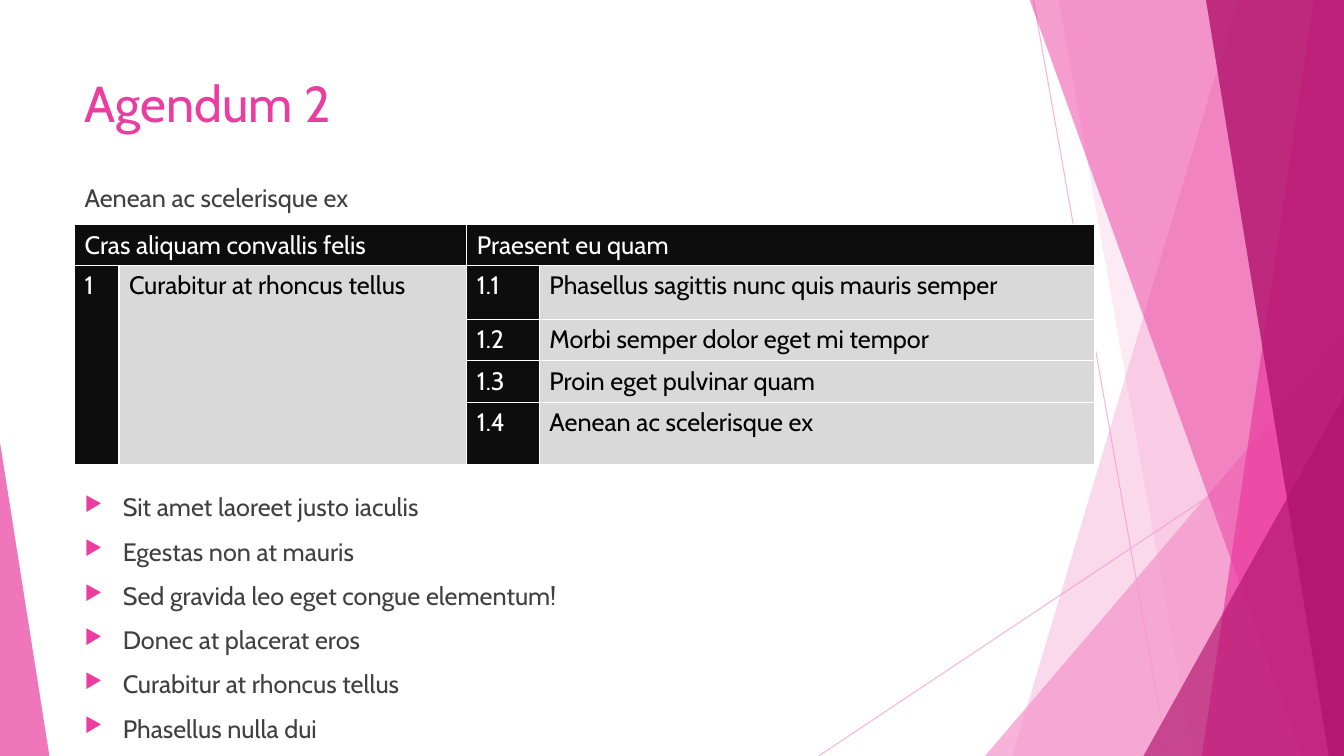
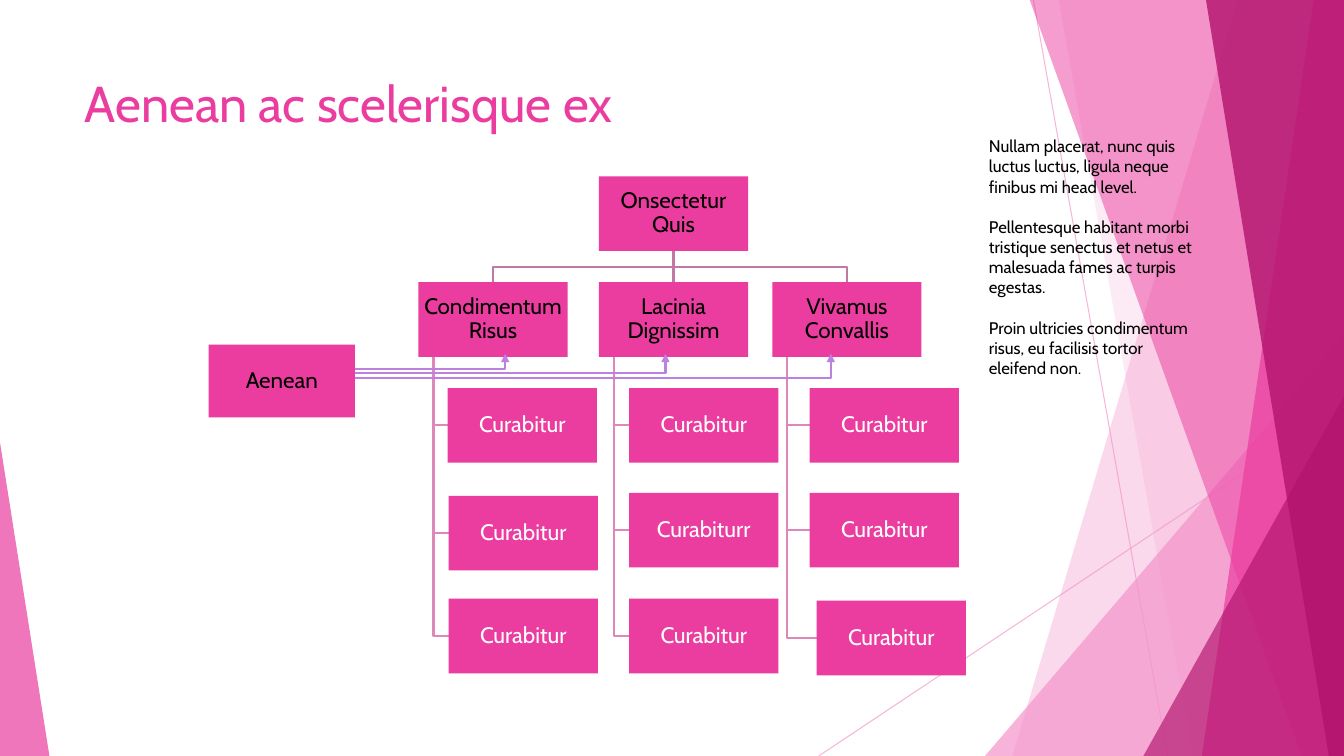
from lxml.etree import SubElement
from pptx import Presentation
from pptx.dml.color import RGBColor
from pptx.enum.shapes import MSO_CONNECTOR, MSO_SHAPE
from pptx.enum.text import MSO_ANCHOR, PP_ALIGN
from pptx.oxml.ns import qn
from pptx.util import Inches, Pt

FONT = "Cabin"
PINK = RGBColor(0xEB, 0x3D, 0x9F)
ROSE = RGBColor(0xF4, 0x96, 0xCB)
WINE = RGBColor(0xB2, 0x13, 0x6D)
BRANCH = RGBColor(0xC3, 0x78, 0xA3)
TWIG = RGBColor(0xDD, 0x88, 0xB8)
LILAC = RGBColor(0xBC, 0x80, 0xE0)
GREY = RGBColor(0x40, 0x40, 0x40)
PALE = RGBColor(0xD9, 0xD9, 0xD9)
COAL = RGBColor(0x0D, 0x0D, 0x0D)
BLACK = RGBColor(0, 0, 0)
WHITE = RGBColor(0xFF, 0xFF, 0xFF)

WIDE, HIGH = 13.33, 7.5
LEFT = 0.74
BOX_W, BOX_H = 1.48, 0.74

BULLETS = [
    "Sit amet laoreet justo iaculis",
    "Egestas non at mauris",
    "Sed gravida leo eget congue elementum!",
    "Donec at placerat eros",
    "Curabitur at rhoncus tellus",
    "Phasellus nulla dui",
]
COLS = [0.44, 3.45, 0.72, 5.51]
ROWS = [0.4, 0.54, 0.41, 0.41, 0.62]
CELLS = [
    ["Cras aliquam convallis felis", "", "Praesent eu quam", ""],
    ["1", "Curabitur at rhoncus tellus", "1.1",
     "Phasellus sagittis nunc quis mauris semper"],
    ["", "", "1.2", "Morbi semper dolor eget mi tempor"],
    ["", "", "1.3", "Proin eget pulvinar quam"],
    ["", "", "1.4", "Aenean ac scelerisque ex"],
]
SPANS = [(0, 0, 0, 1), (0, 2, 0, 3), (1, 0, 4, 0), (1, 1, 4, 1)]
HEADS = [
    ("Condimentum Risus", 4.15,
     [("Curabitur", 4.44, 3.85), ("Curabitur", 4.45, 4.92),
      ("Curabitur", 4.45, 5.94)]),
    ("Lacinia Dignissim", 5.94,
     [("Curabitur", 6.24, 3.85), ("Curabiturr", 6.24, 4.89),
      ("Curabitur", 6.24, 5.94)]),
    ("Vivamus Convallis", 7.66,
     [("Curabitur", 8.03, 3.85), ("Curabitur", 8.03, 4.89),
      ("Curabitur", 8.1, 5.96)]),
]
NOTES = [
    "Nullam placerat, nunc quis luctus luctus, ligula neque finibus mi head level.",
    "Pellentesque habitant morbi tristique senectus et netus et malesuada "
    "fames ac turpis egestas.",
    "Proin ultricies condimentum risus, eu facilisis tortor eleifend non.",
]


def mark(para):
    props = para._p.get_or_add_pPr()
    props.set("marL", str(Inches(0.38)))
    props.set("indent", str(-Inches(0.38)))
    tint = SubElement(props, qn("a:buClr"))
    SubElement(tint, qn("a:srgbClr")).set("val", str(PINK))
    SubElement(props, qn("a:buSzPct")).set("val", "80000")
    SubElement(props, qn("a:buChar")).set("char", "▶")


def write(frame, lines, size=18, color=BLACK, align=PP_ALIGN.LEFT,
          pitch=None, gap=0, bullet=False):
    frame.word_wrap = True
    for i, line in enumerate(lines):
        para = frame.add_paragraph() if i else frame.paragraphs[0]
        if bullet:
            mark(para)
        para.alignment = align
        para.line_spacing = pitch
        para.space_before = Pt(gap if i else 0)
        run = para.add_run()
        run.text = line
        run.font.name = FONT
        run.font.size = Pt(size)
        run.font.color.rgb = color


def label(slide, spot, lines, **style):
    box = slide.shapes.add_textbox(*map(Inches, spot))
    write(box.text_frame, lines, **style)


def fade(shape, share):
    for tint in shape._element.iter(qn("a:srgbClr")):
        SubElement(tint, qn("a:alpha")).set("val", str(share * 1000))


def paint(shape, color, share=100):
    shape.shadow.inherit = False
    shape.fill.solid()
    shape.fill.fore_color.rgb = color
    shape.line.fill.background()
    if share < 100:
        fade(shape, share)


def trace(slide, points, close):
    spots = [(Inches(x), Inches(y)) for x, y in points]
    form = slide.shapes.build_freeform(*spots[0])
    form.add_line_segments(spots[1:], close=close)
    return form.convert_to_shape()


def route(slide, points, color):
    shape = trace(slide, points, False)
    shape.shadow.inherit = False
    shape.fill.background()
    shape.line.color.rgb = color
    shape.line.width = Pt(1.5)


def join(slide, start, end, color, width, kind=MSO_CONNECTOR.STRAIGHT):
    line = slide.shapes.add_connector(kind, *map(Inches, start + end))
    line.line.color.rgb = color
    line.line.width = Pt(width)
    SubElement(line._element.spPr, qn("a:effectLst"))
    return line


def arrow(slide, start, end):
    line = join(slide, start, end, LILAC, 1.5, MSO_CONNECTOR.ELBOW)
    guide = SubElement(line._element.find(".//" + qn("a:avLst")), qn("a:gd"))
    guide.set("name", "adj1")
    guide.set("fmla", "val 100000")
    tip = SubElement(line.line._get_or_add_ln(), qn("a:tailEnd"))
    tip.set("type", "triangle")


def wedge(slide, spot, peak, color, share):
    shape = slide.shapes.add_shape(MSO_SHAPE.ISOSCELES_TRIANGLE,
                                   *map(Inches, spot))
    shape.adjustments[0] = peak
    paint(shape, color, share)


def band(slide, top, foot, color, share):
    points = [(top, -0.01), (WIDE, -0.01), (WIDE, HIGH), (foot, HIGH)]
    paint(trace(slide, points, True), color, share)


def scene(slide):
    for start, end in [((10.25, 0), (11.58, HIGH)), ((WIDE, 4.03), (8.12, HIGH))]:
        fade(join(slide, start, end, ROSE, 0.75), 70)
    band(slide, 12.28, 10.04, ROSE, 36)
    band(slide, 10.5, 11.83, ROSE, 20)
    wedge(slide, (9.77, 3.33, 3.56, 4.17), 1, ROSE, 72)
    band(slide, 10.21, 12.91, PINK, 50)
    band(slide, 13.03, 11.92, PINK, 70)
    band(slide, 11.96, 13.18, WINE, 80)
    wedge(slide, (11.34, 3.93, 1.99, 3.57), 1, WINE, 66)
    wedge(slide, (0, 4.39, 0.49, 3.11), 0, PINK, 70)


def start(deck, text):
    slide = deck.slides.add_slide(deck.slide_layouts[5])
    scene(slide)
    title = slide.shapes.title
    title.left, title.top, title.width, title.height = map(
        Inches, (LEFT, 0.67, 9.4, 1.44))
    title.text_frame.vertical_anchor = MSO_ANCHOR.TOP
    write(title.text_frame, [text], size=36, color=PINK)
    return slide


def edge(cell):
    props = cell._tc.get_or_add_tcPr()
    for side in ("a:lnL", "a:lnR", "a:lnT", "a:lnB"):
        line = SubElement(props, qn(side))
        line.set("w", str(Pt(1)))
        fill = SubElement(line, qn("a:solidFill"))
        SubElement(fill, qn("a:srgbClr")).set("val", str(WHITE))


def grid(slide):
    spot = (LEFT, 2.23, sum(COLS), sum(ROWS))
    table = slide.shapes.add_table(len(ROWS), len(COLS),
                                   *map(Inches, spot)).table
    for col, width in zip(table.columns, COLS):
        col.width = Inches(width)
    for row, height in zip(table.rows, ROWS):
        row.height = Inches(height)
    for top, left, foot, right in SPANS:
        table.cell(top, left).merge(table.cell(foot, right))
    for r, texts in enumerate(CELLS):
        for c, text in enumerate(texts):
            cell = table.cell(r, c)
            dark = r == 0 or c % 2 == 0
            edge(cell)
            cell.fill.solid()
            cell.fill.fore_color.rgb = COAL if dark else PALE
            if text:
                write(cell.text_frame, [text], color=WHITE if dark else BLACK)


def block(slide, text, x, y, color, width=BOX_W, height=BOX_H):
    shape = slide.shapes.add_shape(MSO_SHAPE.RECTANGLE,
                                   *map(Inches, (x, y, width, height)))
    paint(shape, PINK)
    frame = shape.text_frame
    frame.margin_left = frame.margin_right = Inches(0.01)
    frame.margin_top = frame.margin_bottom = Inches(0.01)
    frame.vertical_anchor = MSO_ANCHOR.MIDDLE
    write(frame, [text], size=16, color=color, align=PP_ALIGN.CENTER, pitch=0.9)


def chart(slide):
    root, crown, tier, rail = 5.94, 1.75, 2.8, 2.65
    half = BOX_W / 2
    base = tier + BOX_H
    first, last = HEADS[0][1] + half, HEADS[-1][1] + half
    for text, x, kids in HEADS:
        stem = x + 0.15
        for name, left, top in kids:
            mid = top + BOX_H / 2
            route(slide, [(stem, base), (stem, mid), (left, mid)], TWIG)
    route(slide, [(first, tier), (first, rail), (last, rail), (last, tier)],
          BRANCH)
    join(slide, (root + half, crown + BOX_H), (root + half, tier), BRANCH, 1.5)
    block(slide, "Onsectetur Quis", root, crown, BLACK)
    for text, x, kids in HEADS:
        block(slide, text, x, tier, BLACK)
        for name, left, top in kids:
            block(slide, name, left, top, WHITE)
    block(slide, "Aenean", 2.07, 3.42, BLACK, 1.45, 0.72)
    for x, y in [(8.24, 3.75), (6.6, 3.7), (5.01, 3.66)]:
        arrow(slide, (3.52, y), (x, 3.51))


def main():
    deck = Presentation()
    deck.slide_width, deck.slide_height = Inches(WIDE), Inches(HIGH)

    slide = start(deck, "Agendum 2")
    label(slide, (LEFT, 1.76, 9.4, 0.4), ["Aenean ac scelerisque ex"], color=GREY)
    label(slide, (LEFT, 4.83, 9.4, 2.67), BULLETS, color=GREY, gap=10,
          bullet=True)
    grid(slide)

    slide = start(deck, "Aenean ac scelerisque ex")
    chart(slide)
    label(slide, (9.71, 1.3, 2.28, 2.73), NOTES, size=12, gap=14.4)

    deck.save("out.pptx")


if __name__ == "__main__":
    main()
